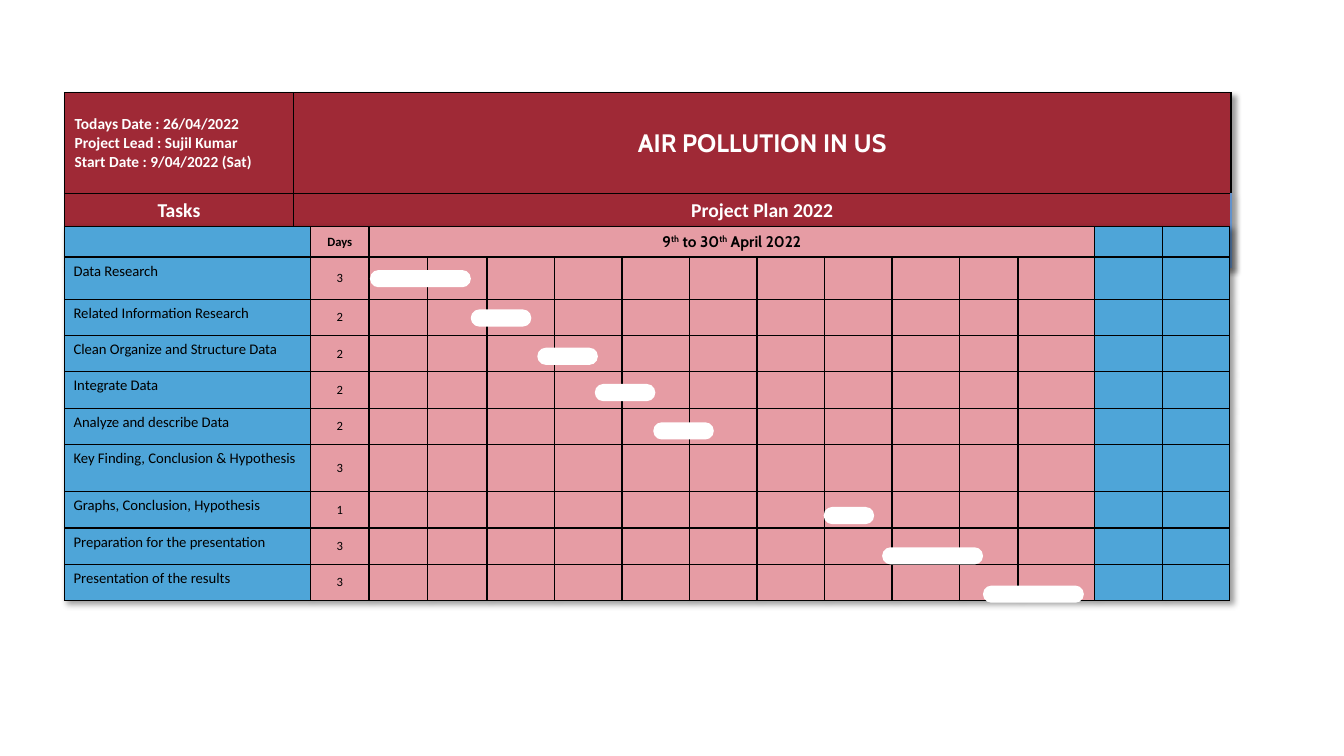
"""Build a project plan slide: a heading table over a Gantt grid with task bars."""
from lxml.etree import SubElement
from pptx import Presentation
from pptx.dml.color import RGBColor
from pptx.enum.shapes import MSO_SHAPE
from pptx.enum.text import MSO_ANCHOR, PP_ALIGN
from pptx.oxml import parse_xml
from pptx.oxml.ns import nsdecls, qn
from pptx.util import Inches, Pt

CRIMSON = RGBColor(0x9F, 0x29, 0x36)
PINK = RGBColor(0xE6, 0x9C, 0xA4)
BLUE = RGBColor(0x4E, 0xA5, 0xD8)
EDGE_BLUE = RGBColor(0x62, 0x92, 0xCC)
BLACK = RGBColor(0, 0, 0)
WHITE = RGBColor(0xFF, 0xFF, 0xFF)

LEFT, WIDTH = 0.64, 11.57
HEADING_TOP, GRID_TOP = 0.92, 2.25
HEADING_COLUMNS, HEADING_ROWS = [2.27, 9.3], [1, 0.73]
GRID_COLUMNS = [2.44, 0.58, 0.58, 0.59] + [0.67] * 7 + [0.58, 0.76, 0.67, 0.67]
GRID_ROWS = [0.3, 0.42] + [0.36] * 4 + [0.47] + [0.36] * 3
LAST_PLAN_COLUMN = 12

TASKS = [
    ("Data Research", 3),
    ("Related Information Research", 2),
    ("Clean Organize and Structure Data", 2),
    ("Integrate Data", 2),
    ("Analyze and describe Data", 2),
    ("Key Finding, Conclusion & Hypothesis", 3),
    ("Graphs, Conclusion, Hypothesis", 1),
    ("Preparation for the presentation", 3),
    ("Presentation of the results", 3),
]
BARS = [
    (3.67, 2.68, 1), (4.67, 3.07, 0.6), (5.33, 3.45, 0.6), (5.9, 3.81, 0.6),
    (6.48, 4.19, 0.6), (8.17, 5.03, 0.5), (8.75, 5.43, 1), (9.75, 5.81, 1),
]
HEADINGS = [
    (0, 0, "Todays Date : 26/04/2022\nProject Lead : Sujil Kumar\n"
     "Start Date : 9/04/2022 (Sat)", 11, "Calibri", PP_ALIGN.LEFT),
    (0, 1, "AIR POLLUTION IN US", 18, "Cabin", PP_ALIGN.CENTER),
    (1, 0, "Tasks", 14, "Calibri", PP_ALIGN.CENTER),
    (1, 1, "Project Plan 2022", 14, "Calibri", PP_ALIGN.CENTER),
]


def add_plain_table(page, top, columns, rows):
    """Add a shadowed table whose cells are all bordered in black."""
    frame = page.shapes.add_table(len(rows), len(columns), Inches(LEFT), Inches(top),
                                  Inches(WIDTH), Inches(sum(rows)))
    table = frame.table
    table.first_row = table.horz_banding = False
    table._tbl.tblPr.insert(0, parse_xml(
        f'<a:effectLst {nsdecls("a")}><a:outerShdw blurRad="50800" dist="38100" '
        'dir="2700000" algn="tl" rotWithShape="0"><a:prstClr val="black">'
        '<a:alpha val="40000"/></a:prstClr></a:outerShdw></a:effectLst>'))
    for column, width in zip(table.columns, columns):
        column.width = Inches(width)
    for row, height in zip(table.rows, rows):
        row.height = Inches(height)
    for cell in table.iter_cells():
        for side in ("lnL", "lnR", "lnT", "lnB"):
            line = SubElement(cell._tc.get_or_add_tcPr(), qn(f"a:{side}"), w=str(Pt(1)))
            SubElement(SubElement(line, qn("a:solidFill")), qn("a:srgbClr"), val=str(BLACK))
    return table


def write_cell(cell, text, size, font, color, bold, align=PP_ALIGN.CENTER):
    """Write the text of a cell in one style."""
    cell.text_frame.text = text
    for para in cell.text_frame.paragraphs:
        para.alignment = align
        for span in para.runs:
            span.font.size, span.font.name, span.font.bold = Pt(size), font, bold
            span.font.color.rgb = color


deck = Presentation()
deck.slide_width, deck.slide_height = Inches(13.33), Inches(7.5)
page = deck.slides.add_slide(deck.slide_layouts[6])

heading = add_plain_table(page, HEADING_TOP, HEADING_COLUMNS, HEADING_ROWS)
for row, column, text, size, font, align in HEADINGS:
    cell = heading.cell(row, column)
    cell.fill.solid()
    cell.fill.fore_color.rgb = CRIMSON
    cell.vertical_anchor = MSO_ANCHOR.TOP if row else MSO_ANCHOR.MIDDLE
    write_cell(cell, text, size, font, WHITE, True, align)
edge = heading.cell(1, 1)._tc.tcPr.find(qn("a:lnR"))
edge.set("w", str(Pt(2.25)))
edge.find(".//" + qn("a:srgbClr")).set("val", str(EDGE_BLUE))

grid = add_plain_table(page, GRID_TOP, GRID_COLUMNS, GRID_ROWS)
for row in range(len(GRID_ROWS)):
    for column in range(len(GRID_COLUMNS)):
        cell = grid.cell(row, column)
        cell.fill.solid()
        cell.fill.fore_color.rgb = PINK if 1 <= column <= LAST_PLAN_COLUMN else BLUE
        cell.margin_left = cell.margin_right = cell.margin_top = cell.margin_bottom = 0
        cell.vertical_anchor = MSO_ANCHOR.MIDDLE
        SubElement(cell.text_frame.paragraphs[0]._p, qn("a:endParaRPr"), sz="900")

grid.cell(0, 2).merge(grid.cell(0, LAST_PLAN_COLUMN))
write_cell(grid.cell(0, 1), "Days", 9, "Calibri", BLACK, True)
period = grid.cell(0, 2)
para = period.text_frame.paragraphs[0]
para.alignment = PP_ALIGN.CENTER
for text in ("9", "th", " to 30", "th", " April 2022"):
    span = para.add_run()
    span.text = text
    span.font.size, span.font.name, span.font.bold = Pt(11), "Cabin", True
    span.font.color.rgb = BLACK
    if text == "th":
        span._r.get_or_add_rPr().set("baseline", "30000")

for row, (task, days) in enumerate(TASKS, start=1):
    name = grid.cell(row, 0)
    name.margin_left = name.margin_right = Inches(0.09)
    name.margin_top = name.margin_bottom = Inches(0.05)
    name.vertical_anchor = MSO_ANCHOR.TOP
    write_cell(name, task, 10.5, "Calibri", BLACK, False, PP_ALIGN.LEFT)
    write_cell(grid.cell(row, 1), str(days), 9, "Calibri", BLACK, False)

for left, top, width in BARS:
    bar = page.shapes.add_shape(MSO_SHAPE.ROUNDED_RECTANGLE, Inches(left), Inches(top),
                                Inches(width), Inches(0.17))
    bar.adjustments[0] = 0.49
    bar.shadow.inherit = False
    bar.fill.solid()
    bar.fill.fore_color.rgb = WHITE
    bar.line.fill.background()

deck.save("out.pptx")
